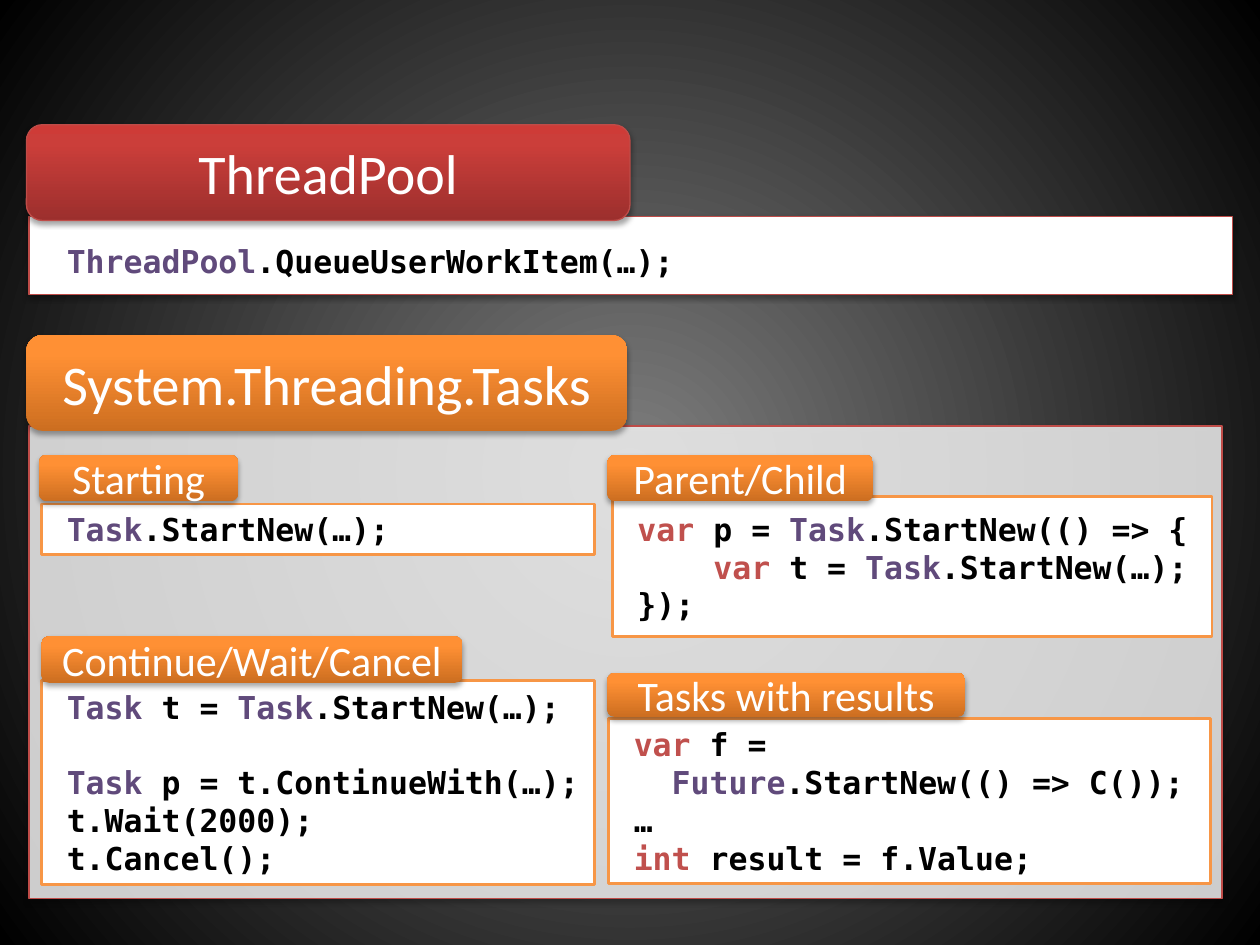
from lxml import etree
from pptx import Presentation
from pptx import util as u
from pptx.dml.color import RGBColor
from pptx.enum import shapes, text
from pptx.oxml import ns

HUES = {"white": "FFFFFF", "black": "000000", "gray": "7F7F7F", "edge": "BF4C48",
        "rim": "F79646", "type": "604A7B", "word": "C0504D"}
RED = [(0, "9C2F2D"), (80, "CB3E3A"), (100, "CE3B37")]
GOLD = [(0, "CC6E20"), (80, "FF9034"), (100, "FF9136")]
NIGHT = [(0, HUES["gray"]), (100, HUES["black"])]
WORDS = {"var": "word", "int": "word", "Task": "type", "Future": "type", "ThreadPool": "type"}


class Deck:
    """Style and current slide, on a grid of 100 columns by 75 rows."""

    def __init__(self):
        self.prs = Presentation()
        self.prs.slide_width, self.prs.slide_height = u.Inches(10), u.Inches(7.5)
        self.cell = self.prs.slide_width / 100
        self.page = self.prs.slides.add_slide(self.prs.slide_layouts[6])

    def node(self, top, tag, **atts):
        """Add an XML child with the given attributes."""
        kid = etree.SubElement(top, ns.qn("a:" + tag))
        for key, val in atts.items():
            kid.set(key, str(val))
        return kid

    def tint(self, top, tag, hue, share):
        """Add a colour with its opacity in percent."""
        return self.node(self.node(top, tag, val=hue), "alpha", val=share * 1000)

    def blend(self, host, stops, ring=False):
        """Turn the solid fill of the host into a gradient."""
        old = host.find(ns.qn("a:solidFill"))
        grad = etree.Element(ns.qn("a:gradFill"), rotWithShape="1")
        bar = self.node(grad, "gsLst")
        for pos, hue in stops:
            self.node(self.node(bar, "gs", pos=pos * 1000), "srgbClr", val=hue)
        if ring:
            way = self.node(grad, "path", path="circle")
            self.node(way, "fillToRect", l=50000, t=50000, r=50000, b=50000)
        else:
            self.node(grad, "lin", ang=270 * 60000, scaled=0)
        host.replace(old, grad)

    def back(self, stops):
        """Paint the slide with a round gradient."""
        fill = self.page.background.fill
        fill.solid()
        fill.fore_color.rgb = RGBColor.from_string(HUES["black"])
        self.blend(self.page._element.cSld.bg.bgPr, stops, ring=True)

    def box(self, at, form="RECTANGLE", line=None, wide=0.75, shade=False, clear=None):
        """Draw a white preset shape."""
        kind = getattr(shapes.MSO_SHAPE, form)
        item = self.page.shapes.add_shape(kind, *(int(n * self.cell) for n in at))
        item.fill.solid()
        item.fill.fore_color.rgb = RGBColor.from_string(HUES["white"])
        if line:
            item.line.color.rgb = RGBColor.from_string(HUES[line])
            item.line.width = u.Pt(wide)
        else:
            item.line.fill.background()
        item.shadow.inherit = False
        props = item._element.spPr
        if clear:
            hue = props.find(ns.qn("a:solidFill"))[0]
            self.node(hue, "alpha", val=clear * 1000)
        if shade:
            drop = self.node(props.find(ns.qn("a:effectLst")), "outerShdw", blurRad=u.Pt(3.1),
                             dist=u.Pt(1.8), dir=90 * 60000, rotWithShape=0)
            self.tint(drop, "srgbClr", HUES["black"], 35)
        return item

    def font(self, run, size, name, hue, bold=False):
        """Format one run."""
        run.font.size, run.font.name, run.font.bold = u.Pt(size), name, bold
        run.font.color.rgb = RGBColor.from_string(HUES[hue])

    def tag(self, at, label, size=24, stops=GOLD, line=None):
        """Draw a rounded heading."""
        item = self.box(at, "ROUNDED_RECTANGLE", line, shade=True)
        self.blend(item._element.spPr, stops)
        item.text_frame.text = label
        item.text_frame.vertical_anchor = text.MSO_ANCHOR.MIDDLE
        para = item.text_frame.paragraphs[0]
        para.alignment = text.PP_ALIGN.CENTER
        self.font(para.runs[0], size, "Calibri", "white")

    def code(self, at, lines, line="rim"):
        """Draw code lines of (indent in characters, gap in points, marked text)."""
        frame = self.box(at, line=line, wide=1.5).text_frame
        frame.word_wrap = True
        frame.margin_left = u.Inches(0.2)
        frame.vertical_anchor = text.MSO_ANCHOR.MIDDLE
        for num, (step, gap, row) in enumerate(lines):
            para = frame.add_paragraph() if num else frame.paragraphs[0]
            para.alignment = text.PP_ALIGN.LEFT
            para.space_before = u.Pt(gap)
            para._p.get_or_add_pPr().set("marL", str(u.Pt(step * 10.84)))
            for part in filter(None, row.split("|")):
                run = para.add_run()
                run.text = part
                self.font(run, 18, "DejaVu Sans Mono", WORDS.get(part, "black"), True)


CARDS = [
    ("Starting", (3.1, 36.1, 15.8, 3.7), (3.3, 40, 43.9, 4),
     [(0, 0, "|Task|.StartNew(…);")]),
    ("Parent/Child", (48.2, 36.1, 21.1, 3.7), (48.6, 39.4, 47.6, 11.1),
     [(0, 0, "|var| p = |Task|.StartNew(() => {"),
      (4, 0, "|var| t = |Task|.StartNew(…);"),
      (0, 0, "});")]),
    ("Tasks with results", (48.2, 53.4, 28.4, 3.5), (48.3, 57, 47.8, 13.1),
     [(0, 0, "|var| f ="),
      (2, 0, "|Future|.StartNew(() => C());"),
      (0, 0, "…"),
      (0, 0, "|int| result = f.Value;")]),
    ("Continue/Wait/Cancel", (3.3, 50.5, 33.4, 3.7), (3.3, 54, 43.9, 16.2),
     [(0, 0, "|Task| t = |Task|.StartNew(…);"),
      (0, 21, "|Task| p = t.ContinueWith(…);"),
      (0, 0, "t.Wait(2000);"),
      (0, 0, "t.Cancel();")]),
]

deck = Deck()
deck.back(NIGHT)
deck.box((2.3, 33.8, 94.7, 37.5), line="edge", shade=True, clear=80)
deck.box((2.3, 17.2, 95.5, 6.2), line="edge", shade=True)
deck.tag((2.1, 9.9, 47.9, 7.6), "ThreadPool", 32, RED, "edge")
deck.code((3.3, 18.7, 73.2, 4), [(0, 0, "|ThreadPool|.QueueUserWorkItem(…);")], None)
deck.tag((2.1, 26.6, 47.7, 7.6), "System.Threading.Tasks", 32)
for label, head, body, lines in CARDS:
    deck.code(body, lines)
    deck.tag(head, label)
deck.prs.save("out.pptx")
